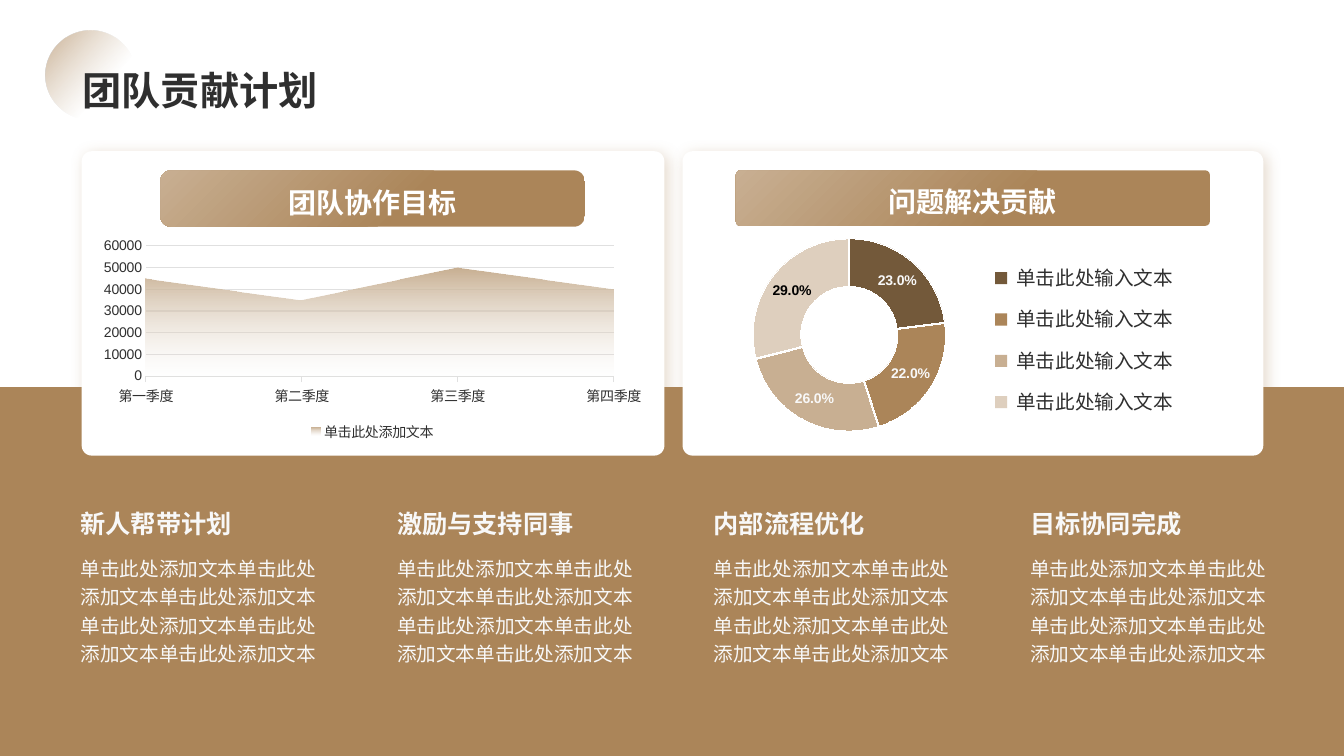
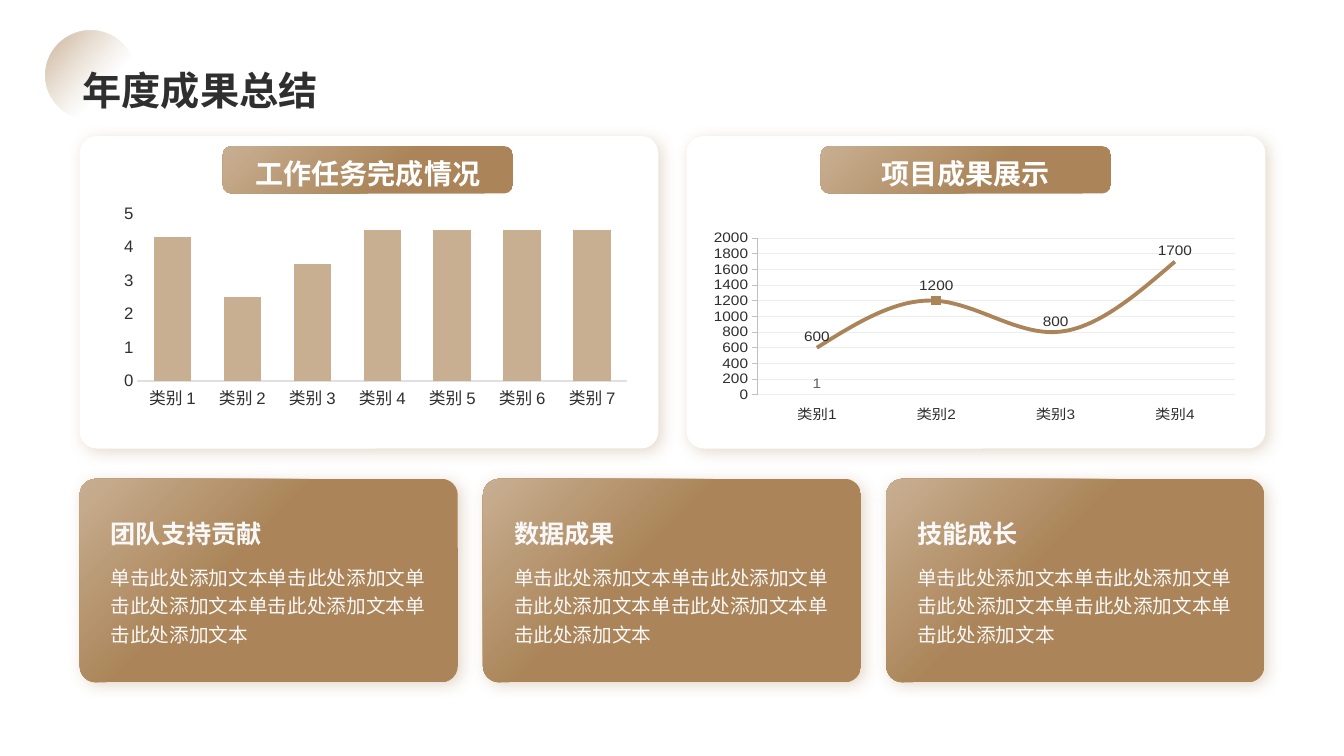
from lxml import etree
from pptx import Presentation
from pptx.chart.data import CategoryChartData
from pptx.dml.color import RGBColor
from pptx.enum.chart import (XL_CHART_TYPE, XL_LABEL_POSITION, XL_LEGEND_POSITION,
                             XL_MARKER_STYLE, XL_TICK_MARK)
from pptx.enum.shapes import MSO_SHAPE
from pptx.enum.text import MSO_ANCHOR, MSO_AUTO_SIZE, PP_ALIGN
from pptx.oxml.ns import qn
from pptx.util import Inches, Pt

AREA, COLUMN = XL_CHART_TYPE.AREA, XL_CHART_TYPE.COLUMN_CLUSTERED
DOUGHNUT, LINE = XL_CHART_TYPE.DOUGHNUT, XL_CHART_TYPE.LINE
NO_TICK, TICK_OUT = XL_TICK_MARK.NONE, XL_TICK_MARK.OUTSIDE
NO_MARKER, SQUARE_MARKER = XL_MARKER_STYLE.NONE, XL_MARKER_STYLE.SQUARE
LABEL_ABOVE, LEGEND_BOTTOM = XL_LABEL_POSITION.ABOVE, XL_LEGEND_POSITION.BOTTOM
RECTANGLE, ROUNDED, OVAL = MSO_SHAPE.RECTANGLE, MSO_SHAPE.ROUNDED_RECTANGLE, MSO_SHAPE.OVAL
LEFT, CENTER = PP_ALIGN.LEFT, PP_ALIGN.CENTER
MIDDLE, BOTTOM, FIXED_SIZE = MSO_ANCHOR.MIDDLE, MSO_ANCHOR.BOTTOM, MSO_AUTO_SIZE.NONE

COLORS = {
    "brown": "AB8559", "dark": "73593A", "tan": "C8AF92", "sand": "DECFBE",
    "cream": "EEE7DE", "ink": "2F2F2F", "white": "FFFFFF", "paper": "F8F8F8",
    "black": "000000", "rule": "E0E0E0", "faint": "EBEDEF", "axis": "BBC1CA",
    "olive": "9C9E7E", "gray": "636363",
}
LATIN, CJK = "Arial", "Noto Sans CJK SC"
PLACEHOLDER_TEXT = "单击此处添加文本"


def rgb(name):
    return RGBColor.from_string(COLORS[name])


def add_color(parent, name, opacity=100):
    color = etree.SubElement(parent, qn("a:srgbClr"), val=COLORS[name])
    if opacity < 100:
        etree.SubElement(color, qn("a:alpha"), val=str(opacity * 1000))


def set_gradient(fill, properties, stops, angle=None):
    """Fill with (position, colour, opacity) stops: linear at an angle, else from the top left."""
    fill.gradient()
    gradient = properties.find(qn("a:gradFill"))
    gradient.clear()
    gradient.set("rotWithShape", "1")
    stop_list = etree.SubElement(gradient, qn("a:gsLst"))
    for position, color, opacity in stops:
        stop = etree.SubElement(stop_list, qn("a:gs"), pos=str(position * 1000))
        add_color(stop, color, opacity)
    if angle is None:
        radial = etree.SubElement(gradient, qn("a:path"))
        radial.set("path", "circle")
        etree.SubElement(radial, qn("a:fillToRect"), r="100000", b="100000")
    else:
        etree.SubElement(gradient, qn("a:lin"), ang=str(angle * 60000), scaled="0")


def style_font(font, size, color, bold=False):
    font.name, font.size, font.bold = LATIN, Pt(size), bold
    font.color.rgb = rgb(color)


def style_axis(axis, size, tick, line=None, grid=None):
    style_font(axis.tick_labels.font, size, "ink")
    axis.major_tick_mark, axis.minor_tick_mark = tick, NO_TICK
    axis.has_major_gridlines = grid is not None
    if grid:
        axis.major_gridlines.format.line.color.rgb = rgb(grid)
        axis.major_gridlines.format.line.width = Pt(0.75)
    if line:
        axis.format.line.color.rgb = rgb(line)
        axis.format.line.width = Pt(0.75)
    else:
        axis.format.line.fill.background()


def set_scale(axis, maximum, step):
    axis.minimum_scale, axis.maximum_scale, axis.major_unit = 0, maximum, step


def set_plot_layout(chart, *bounds):
    """Place the inner plot area by fractions of the chart: x, y, width, height."""
    plot_area = chart._chartSpace.chart.plotArea
    for old_layout in plot_area.findall(qn("c:layout")):
        plot_area.remove(old_layout)
    layout = etree.Element(qn("c:layout"))
    plot_area.insert(0, layout)
    manual = etree.SubElement(layout, qn("c:manualLayout"))
    settings = [("layoutTarget", "inner"), ("xMode", "edge"), ("yMode", "edge")]
    settings += zip("xywh", map(str, bounds))
    for tag, value in settings:
        etree.SubElement(manual, qn("c:" + tag), val=value)


class Deck:
    def __init__(self):
        self.presentation = Presentation()
        self.presentation.slide_width = Inches(13.33)
        self.presentation.slide_height = Inches(7.5)
        self.slide = None

    def new_slide(self, title):
        self.slide = self.presentation.slides.add_slide(self.presentation.slide_layouts[5])
        circle = self.shape(OVAL, 0.45, 0.3, 0.89, 0.89)
        circle.rotation = 355.9
        set_gradient(circle.fill, circle._element.spPr,
                     [(0, "brown", 70), (64, "tan", 0)], angle=45)
        holder = self.slide.shapes.title
        # Bring the title in front of the circle
        circle._element.addnext(holder._element)
        holder.left, holder.top = Inches(0.72), Inches(0.14)
        holder.width, holder.height = Inches(11.88), Inches(0.98)
        frame = holder.text_frame
        frame.auto_size, frame.vertical_anchor = FIXED_SIZE, BOTTOM
        frame.margin_bottom = 0
        self.add_words(frame, title, 28, "ink", bold=True)

    def add_words(self, frame, text, size, color, bold=False, align=LEFT, spacing=1.0):
        paragraph = frame.paragraphs[0]
        paragraph.alignment, paragraph.line_spacing = align, spacing
        run = paragraph.add_run()
        run.text = text
        style_font(run.font, size, color, bold)
        latin = run.font._element.find(qn("a:latin"))
        latin.addnext(etree.Element(qn("a:ea"), typeface=CJK))

    def shape(self, kind, left, top, width, height, color="white", corner=None):
        shape = self.slide.shapes.add_shape(
            kind, Inches(left), Inches(top), Inches(width), Inches(height))
        shape.shadow.inherit = False
        shape.fill.solid()
        shape.fill.fore_color.rgb = rgb(color)
        shape.line.fill.background()
        if corner is not None:
            shape.adjustments[0] = corner
        return shape

    def card(self, left, top, width, height, corner):
        card = self.shape(ROUNDED, left, top, width, height, corner=corner)
        effects = card._element.spPr.find(qn("a:effectLst"))
        shadow = etree.SubElement(
            effects, qn("a:outerShdw"), blurRad=str(Pt(11)), dist=str(Pt(3)),
            dir=str(45 * 60000), algn="tl", rotWithShape="0")
        add_color(shadow, "brown", 30)
        return card

    def shade(self, shape, end):
        set_gradient(shape.fill, shape._element.spPr, [(0, "tan", 100), (end, "brown", 100)])

    def banner(self, text, left, top, width, height, corner=0.19):
        banner = self.shape(ROUNDED, left, top, width, height, corner=corner)
        self.shade(banner, 59)
        frame = banner.text_frame
        frame.margin_left = frame.margin_right = frame.margin_top = frame.margin_bottom = 0
        frame.vertical_anchor = MIDDLE
        self.add_words(frame, text, 20, "white", bold=True, align=CENTER, spacing=1.2)

    def text(self, text, left, top, width, height, size, color, bold=False, spacing=1.0):
        box = self.slide.shapes.add_textbox(
            Inches(left), Inches(top), Inches(width), Inches(height))
        box.text_frame.word_wrap = True
        self.add_words(box.text_frame, text, size, color, bold, spacing=spacing)

    def heading_and_body(self, heading, body, left, top, width, gap, height):
        self.text(heading, left, top, width, 0.4, 18, "paper", bold=True)
        self.text(body, left, top + gap, width, height, 14, "paper", spacing=1.2)

    def chart(self, kind, left, top, width, height, categories, series, number_format="General"):
        data = CategoryChartData(number_format=number_format)
        data.categories = categories
        for name, values in series:
            data.add_series(name, values)
        chart = self.slide.shapes.add_chart(
            kind, Inches(left), Inches(top), Inches(width), Inches(height), data).chart
        style_font(chart.font, 10, "ink")
        chart.has_title = chart.has_legend = False
        chart.plots[0].vary_by_categories = kind == DOUGHNUT
        return chart

    def area_chart(self):
        chart = self.chart(AREA, 0.92, 2.32, 5.55, 2.1,
                           ["第一季度", "第二季度", "第三季度", "第四季度"],
                           [(PLACEHOLDER_TEXT, (45000, 35000, 50000, 40000))])
        style_axis(chart.category_axis, 10, TICK_OUT, line="rule")
        style_axis(chart.value_axis, 10, NO_TICK, grid="rule")
        set_scale(chart.value_axis, 60000, 10000)
        axis = chart.value_axis._element
        for crossing in axis.findall(qn("c:crossBetween")):
            axis.remove(crossing)
        axis.find(qn("c:crosses")).addnext(etree.Element(qn("c:crossBetween"), val="midCat"))
        series = chart.plots[0].series[0]
        fill = series.format.fill
        set_gradient(fill, series._element.find(qn("c:spPr")),
                     [(0, "tan", 100), (100, "cream", 0)], angle=90)
        chart.has_legend = True
        chart.legend.position = LEGEND_BOTTOM
        chart.legend.include_in_layout = False
        style_font(chart.legend.font, 10, "ink")

    def doughnut_chart(self, colors):
        chart = self.chart(DOUGHNUT, 6.65, 2.35, 3.53, 2.15, ["1", "2", "3", "4"],
                           [("Series 1", (0.23, 0.22, 0.26, 0.29))], "0.0%")
        set_plot_layout(chart, 0.165, 0.008, 0.675, 0.889)
        plot = chart.plots[0]
        plot._element.find(qn("c:holeSize")).set("val", "45")
        series = plot.series[0]
        series._element.find(qn("c:tx")).addnext(etree.Element(qn("c:explosion"), val="2"))
        for index, color in enumerate(colors):
            point = series.points[index]
            point.format.fill.solid()
            point.format.fill.fore_color.rgb = rgb(color)
            point.format.line.color.rgb = rgb("white")
        labels = series.data_labels
        labels.show_value, labels.show_percentage = True, False
        labels.number_format, labels.number_format_is_linked = "0.0%", False
        style_font(labels.font, 10, "paper", bold=True)
        style_font(series.points[3].data_label.font, 10, "black", bold=True)

    def column_chart(self):
        chart = self.chart(COLUMN, 0.97, 2.03, 5.38, 2.29,
                           [f"类别 {number}" for number in range(1, 8)],
                           [("Series 1", (4.3, 2.5, 3.5, 4.5, 4.5, 4.5, 4.5))])
        set_plot_layout(chart, 0.073, 0.032, 0.903, 0.731)
        style_axis(chart.category_axis, 12, NO_TICK, line="rule")
        style_axis(chart.value_axis, 12, NO_TICK)
        set_scale(chart.value_axis, 5, 1)
        plot = chart.plots[0]
        plot.gap_width, plot.overlap = 87, -27
        plot.series[0].format.fill.solid()
        plot.series[0].format.fill.fore_color.rgb = rgb("tan")

    def line_chart(self):
        chart = self.chart(LINE, 7.08, 2.29, 5.17, 1.91,
                           [f"类别{number}" for number in range(1, 5)],
                           [("Series 1", (600, 1200, 800, 1700)),
                            ("Series 2", (1, None, None, None))])
        set_plot_layout(chart, 0, 0, 1, 1)
        style_axis(chart.category_axis, 12, TICK_OUT)
        style_axis(chart.value_axis, 12, TICK_OUT, line="axis", grid="faint")
        set_scale(chart.value_axis, 2000, 200)
        styles = [("brown", 3, "ink"), ("olive", 2.25, "gray")]
        for series, (color, width, label_color) in zip(chart.plots[0].series, styles):
            series.smooth = True
            series.format.line.color.rgb = rgb(color)
            series.format.line.width = Pt(width)
            series.marker.style = NO_MARKER
            labels = series.data_labels
            labels.show_value, labels.position = True, LABEL_ABOVE
            style_font(labels.font, 12, label_color)
        peak = chart.plots[0].series[0].points[1]
        peak.marker.style, peak.marker.size = SQUARE_MARKER, 7
        peak.marker.format.fill.solid()
        peak.marker.format.fill.fore_color.rgb = rgb("brown")
        peak.format.line.color.rgb = rgb("brown")
        peak.format.line.width = Pt(3)


def build_contribution_slide(deck):
    deck.new_slide("团队贡献计划")
    deck.shape(RECTANGLE, 0, 3.84, 13.33, 3.66, "brown")
    deck.card(0.81, 1.5, 5.78, 3.02, 0.033)
    deck.banner("团队协作目标", 1.59, 1.69, 4.21, 0.56)
    deck.area_chart()
    deck.card(6.77, 1.5, 5.76, 3.02, 0.033)
    deck.banner("问题解决贡献", 7.3, 1.69, 4.7, 0.55, corner=0.08)
    colors = ["dark", "brown", "tan", "sand"]
    deck.doughnut_chart(colors)
    for row, color in enumerate(colors):
        top = 2.59 + row * 0.41
        deck.shape(RECTANGLE, 9.87, top + 0.11, 0.12, 0.12, color)
        deck.text("单击此处输入文本", 9.98, top, 2.1, 0.34, 14, "ink")
    headings = ["新人帮带计划", "激励与支持同事", "内部流程优化", "目标协同完成"]
    for column, heading in enumerate(headings):
        deck.heading_and_body(heading, PLACEHOLDER_TEXT * 6,
                              0.7 + column * 3.14, 4.99, 2.71, 0.44, 1.21)


def build_results_slide(deck):
    deck.new_slide("年度成果总结")
    for left in (0.79, 6.81):
        deck.card(left, 1.35, 5.74, 3.1, 0.055)
    deck.column_chart()
    deck.banner("工作任务完成情况", 2.21, 1.45, 2.88, 0.47)
    deck.banner("项目成果展示", 8.14, 1.45, 2.88, 0.47)
    deck.line_chart()
    body = PLACEHOLDER_TEXT + "单击此处添加文" + PLACEHOLDER_TEXT * 3
    for column, heading in enumerate(["团队支持贡献", "数据成果", "技能成长"]):
        left = 0.79 + column * 4
        deck.shade(deck.card(left, 4.75, 3.75, 2.02, 0.08), 41)
        deck.heading_and_body(heading, body, left + 0.21, 5.09, 3.33, 0.43, 0.92)


def main():
    deck = Deck()
    build_contribution_slide(deck)
    build_results_slide(deck)
    deck.presentation.save("out.pptx")


if __name__ == "__main__":
    main()
